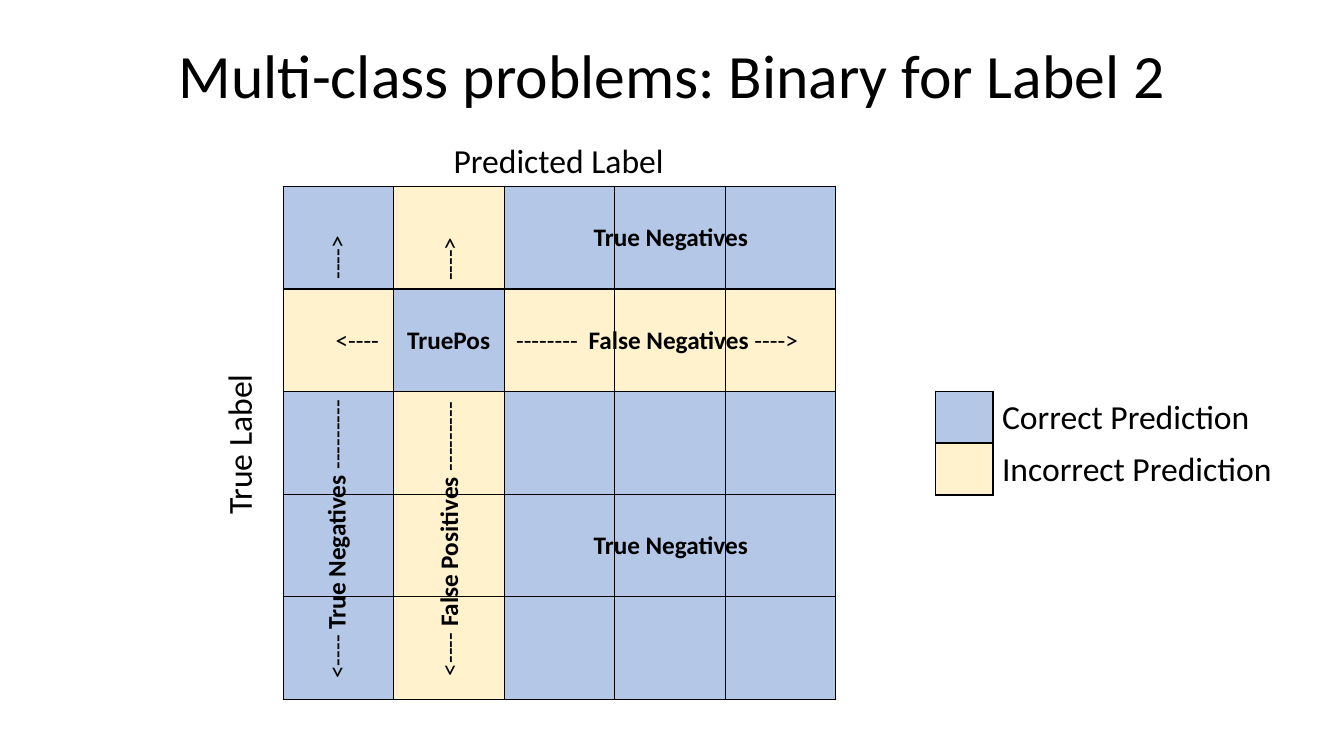
from lxml import etree
from pptx import Presentation
from pptx import util as u
from pptx.dml.color import RGBColor
from pptx.enum import text
from pptx.oxml.ns import qn

PX = 9144
THEME = {
    "font": "Calibri",
    "ink": RGBColor.from_string("000000"),
    "correct": RGBColor.from_string("B4C7E7"),
    "incorrect": RGBColor.from_string("FFF2CC"),
    "title": u.Pt(44),
    "label": u.Pt(24),
    "note": u.Pt(18),
    "border": u.Pt(1),
}

deck = Presentation()
deck.slide_width, deck.slide_height = 1333 * PX, 750 * PX
page = deck.slides.add_slide(deck.slide_layouts[5])


def write(para, spans, size):
    for words, bold in spans:
        span = para.add_run()
        span.text = words
        look = {"name": THEME["font"], "size": size, "bold": bold}
        for key, value in look.items():
            setattr(span.font, key, value)
        span.font.color.rgb = THEME["ink"]


def add_grid(left, top, width, height, fills):
    frame = page.shapes.add_table(
        len(fills), len(fills[0]), left * PX, top * PX, width * PX, height * PX)
    grid = frame.table
    grid.first_row = grid.horz_banding = False
    for r, row in enumerate(fills):
        for c, name in enumerate(row):
            cell = grid.cell(r, c)
            borders = cell._tc.get_or_add_tcPr()
            for side in ("a:lnL", "a:lnR", "a:lnT", "a:lnB"):
                line = etree.SubElement(borders, qn(side), w=str(THEME["border"]))
                solid = etree.SubElement(line, qn("a:solidFill"))
                etree.SubElement(solid, qn("a:srgbClr"), val=str(THEME["ink"]))
            cell.fill.solid()
            cell.fill.fore_color.rgb = THEME[name]


title = page.shapes.title
for key, value in {"left": 92, "top": 40, "width": 1150, "height": 145}.items():
    setattr(title, key, value * PX)
title.text_frame.vertical_anchor = text.MSO_ANCHOR.TOP
heading = title.text_frame.paragraphs[0]
heading.alignment = text.PP_ALIGN.CENTER
heading.line_spacing = 0.9
write(heading, [("Multi-class problems: Binary for Label 2", False)], THEME["title"])

LABEL = 1
matrix = [["correct" if (r == LABEL) == (c == LABEL) else "incorrect"
           for c in range(5)] for r in range(5)]
add_grid(281, 185, 548, 509, matrix)
add_grid(928, 388, 57, 103, [["correct"], ["incorrect"]])

labels = [
    (440, 134, 231, 50, 0, "label", [("Predicted Label", False)], []),
    (156, 415, 161, 50, 270, "label", [("True Label", False)], []),
    (984, 388, 268, 50, 0, "label", [("Correct Prediction", False)], []),
    (984, 439, 290, 50, 0, "label", [("Incorrect Prediction", False)], []),
    (579, 520, 174, 40, 0, "note", [("True Negatives", True)], []),
    (579, 215, 174, 40, 0, "note", [("True Negatives", True)], []),
    (215, 431, 459, 40, 270, "note",
     [("<---- ", False), ("False Positives ", True), ("---------\t---->", False)], [392]),
    (394, 317, 103, 40, 0, "note", [("TruePos", True)], []),
    (101, 431, 464, 40, 270, "note",
     [("<---- ", False), ("True Negatives ", True), ("---------\t---->", False)], [396]),
    (323, 317, 493, 40, 0, "note",
     [("<----\t--------\t", False), ("False Negatives ", True), ("---->", False)], [179, 251]),
]
for left, top, width, height, turn, size, spans, stops in labels:
    box = page.shapes.add_textbox(left * PX, top * PX, width * PX, height * PX)
    box.rotation = turn
    box.text_frame.word_wrap = False
    box.text_frame.auto_size = text.MSO_AUTO_SIZE.SHAPE_TO_FIT_TEXT
    para = box.text_frame.paragraphs[0]
    if stops:
        tabs = etree.SubElement(para._p.get_or_add_pPr(), qn("a:tabLst"))
        for stop in stops:
            etree.SubElement(tabs, qn("a:tab"), pos=str(stop * PX), algn="l")
    write(para, spans, THEME[size])

deck.save("out.pptx")
